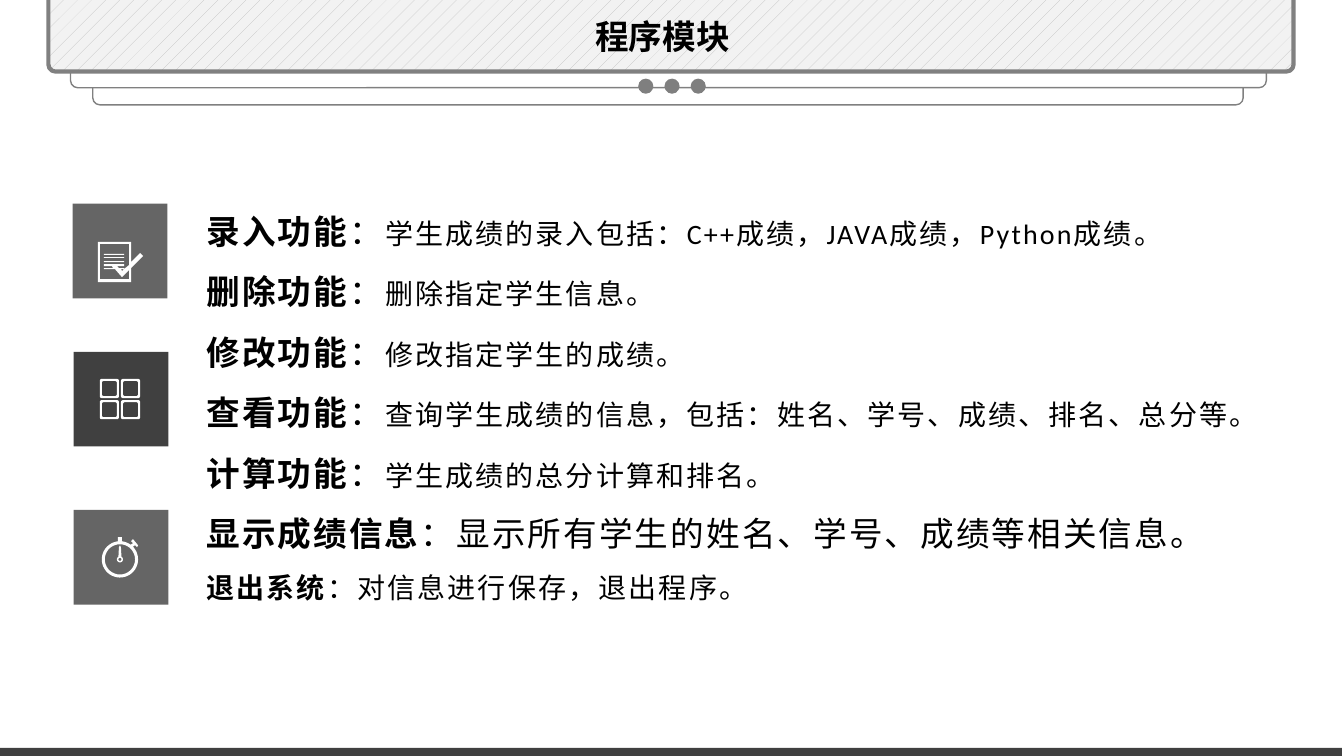
"""Builds the slide that lists the program modules."""
from math import cos, radians, sin

from pptx import Presentation
from pptx.dml.color import RGBColor
from pptx.enum.dml import MSO_PATTERN
from pptx.enum.shapes import MSO_SHAPE as SHAPE
from pptx.enum.text import MSO_AUTO_SIZE, PP_ALIGN
from pptx.oxml.ns import qn
from pptx.util import Inches, Pt

WHITE = RGBColor(0xFF, 0xFF, 0xFF)
BLACK = RGBColor(0, 0, 0)
PALE = RGBColor(0xF2, 0xF2, 0xF2)
HATCH = RGBColor(0xBF, 0xBF, 0xBF)
GREY = RGBColor(0x80, 0x80, 0x80)
DOT = RGBColor(0x7F, 0x7F, 0x7F)
TILE = RGBColor(0x65, 0x65, 0x65)
DARK = RGBColor(0x40, 0x40, 0x40)

MODULES = [
    ("录入功能", "学生成绩的录入包括：C++成绩，JAVA成绩，Python成绩。", 24, 20),
    ("删除功能", "删除指定学生信息。", 24, 20),
    ("修改功能", "修改指定学生的成绩。", 24, 20),
    ("查看功能", "查询学生成绩的信息，包括：姓名、学号、成绩、排名、总分等。", 24, 20),
    ("计算功能", "学生成绩的总分计算和排名。", 24, 20),
    ("显示成绩信息", "显示所有学生的姓名、学号、成绩等相关信息。", 24, 24),
    ("退出系统", "对信息进行保存，退出程序。", 20, 20),
]


def arc(cx, cy, radius, start=0, end=360, steps=36):
    """Return points along a circular arc, with angles in degrees."""
    angles = [radians(start + (end - start) * i / steps) for i in range(steps + 1)]
    return [(cx + radius * cos(a), cy + radius * sin(a)) for a in angles]


def box(x, y, w, h):
    """Return the corners of a rectangle."""
    return [(x, y), (x + w, y), (x + w, y + h), (x, y + h)]


def round_box(x, y, size, radius):
    """Return the outline of a square with rounded corners."""
    centres = box(x + radius, y + radius, size - 2 * radius, size - 2 * radius)
    return [pt for i, (cx, cy) in enumerate(centres)
            for pt in arc(cx, cy, radius, 180 + 90 * i, 270 + 90 * i, 6)]


def add_run(p, text, size=24, bold=False, font="Calibri", spacing=0):
    """Add a formatted run to a paragraph."""
    r = p.add_run()
    r.text = text
    r.font.size, r.font.bold, r.font.name = Pt(size), bold, font
    r.font.color.rgb = BLACK
    rPr = r.font._element
    rPr.set("lang", "zh-CN")
    if spacing:
        rPr.set("spc", str(int(spacing * 100)))
    ea = rPr.makeelement(qn("a:ea"), {"typeface": "Calibri"})
    rPr.find(qn("a:latin")).addnext(ea)


class Deck:
    """Holds the style and the current slide."""

    def __init__(self):
        """Start a widescreen presentation with one blank slide."""
        self.prs = Presentation()
        self.prs.slide_width, self.prs.slide_height = Inches(13.33), Inches(7.5)
        self.s = self.prs.slides.add_slide(self.prs.slide_layouts[6])

    def style(self, sp, fill=None, line=None, width=1):
        """Set the fill and line of a shape and drop its shadow."""
        sp.shadow.inherit = False
        if fill is None:
            sp.fill.background()
        else:
            sp.fill.solid()
            sp.fill.fore_color.rgb = fill
        if line is None:
            sp.line.fill.background()
        else:
            sp.line.color.rgb = line
            sp.line.width = Pt(width)
        return sp

    def shape(self, kind, x, y, w, h, **look):
        """Add a preset shape."""
        sp = self.s.shapes.add_shape(kind, Inches(x), Inches(y), Inches(w), Inches(h))
        return self.style(sp, **look)

    def panel(self, x, y, w, **look):
        """Add a header panel that hangs from the top edge."""
        sp = self.shape(SHAPE.ROUNDED_RECTANGLE, x, y, w, 3.9, line=GREY, **look)
        sp.adjustments[0] = 0.018
        return sp

    def icon(self, contours):
        """Add a white icon made of closed contours."""
        paths = [[(Inches(x), Inches(y)) for x, y in c] for c in contours]
        builder = self.s.shapes.build_freeform(*paths[0][0], scale=1.0)
        for i, path in enumerate(paths):
            if i:
                builder.move_to(*path[0])
            builder.add_line_segments(path[1:], close=True)
        self.style(builder.convert_to_shape(), fill=WHITE)

    def text(self, x, y, w, h):
        """Add a wrapping text box and return its frame."""
        tf = self.s.shapes.add_textbox(Inches(x), Inches(y), Inches(w), Inches(h)).text_frame
        tf.word_wrap = True
        tf.auto_size = MSO_AUTO_SIZE.SHAPE_TO_FIT_TEXT
        return tf


def checklist():
    """Return the contours of a page with a tick."""
    page = [(0.97, 2.4), (1.3, 2.4), (1.3, 2.6), (1.39, 2.51), (1.42, 2.54),
            (1.3, 2.66), (1.3, 2.8), (0.97, 2.8)]
    inside = [(0.99, 2.42), (0.99, 2.77), (1.28, 2.77), (1.28, 2.68), (1.21, 2.75),
              (1.14, 2.67), (1.03, 2.67), (1.03, 2.66), (1.12, 2.66), (1.11, 2.64),
              (1.03, 2.64), (1.03, 2.62), (1.23, 2.62), (1.23, 2.64), (1.16, 2.64),
              (1.18, 2.66), (1.23, 2.66), (1.23, 2.67), (1.28, 2.63), (1.28, 2.42)]
    notch = [(1.2, 2.67), (1.21, 2.69), (1.23, 2.67)]
    return [page, inside, notch] + [box(1.03, y, 0.2, 0.01) for y in (2.52, 2.55, 2.59)]


def four_squares():
    """Return the contours of a grid of four rounded frames."""
    corners = box(0.99, 3.76, 0.21, 0.21)
    return [round_box(x + inset, y + inset, 0.19 - 2 * inset, 0.02)
            for x, y in corners for inset in (0, 0.02)]


def stopwatch():
    """Return the contours of a stopwatch."""
    cx, cy = 1.19, 5.55
    case = (arc(cx, cy, 0.18, -41, 257)
            + [(1.17, 5.37), (1.17, 5.33), (1.21, 5.33), (1.21, 5.37)]
            + arc(cx, cy, 0.18, -80, -54, 6)
            + [(1.32, 5.39), (1.3, 5.37), (1.32, 5.35), (1.37, 5.41),
               (1.36, 5.43), (1.34, 5.41), (1.32, 5.42)])
    hand = arc(cx, cy, 0.03, -60, 240) + [(1.18, 5.43), (1.19, 5.41), (1.2, 5.43)]
    return [case, arc(cx, cy, 0.15), hand, arc(cx, cy, 0.015)]


def main():
    """Build and save the slide."""
    deck = Deck()
    deck.panel(0.92, -2.86, 11.41)
    deck.panel(0.7, -3.03, 11.86, fill=WHITE)
    front = deck.panel(0.48, -3.19, 12.35, width=3)
    front.fill.patterned()
    front.fill.pattern = MSO_PATTERN.PERCENT_5
    front.fill.fore_color.rgb, front.fill.back_color.rgb = HATCH, PALE
    deck.shape(SHAPE.RECTANGLE, -0.02, 7.42, 13.33, 0.08, fill=DARK)
    for i in range(3):
        deck.shape(SHAPE.OVAL, 6.33 + 0.26 * i, 0.78, 0.15, 0.15, fill=DOT)

    for x, y, fill, icon in ((0.72, 2.02, TILE, checklist), (0.73, 3.49, DARK, four_squares),
                             (0.73, 5.06, TILE, stopwatch)):
        deck.shape(SHAPE.RECTANGLE, x, y, 0.94, 0.94, fill=fill)
        deck.icon(icon())

    p = deck.text(4.19, 0.11, 4.76, 0.5).paragraphs[0]
    p.alignment = PP_ALIGN.CENTER
    add_run(p, "程序模块", bold=True, font="Noto Sans CJK JP")

    tf = deck.text(1.95, 1.84, 10.66, 4.24)
    for i, (name, detail, size, detail_size) in enumerate(MODULES):
        p = tf.add_paragraph() if i else tf.paragraphs[0]
        p.line_spacing = 1.5
        add_run(p, name, size=size, bold=True, spacing=1.5)
        add_run(p, "：", size=size, spacing=1.5)
        add_run(p, detail, size=detail_size, spacing=1.5)
    deck.prs.save("out.pptx")


if __name__ == "__main__":
    main()
